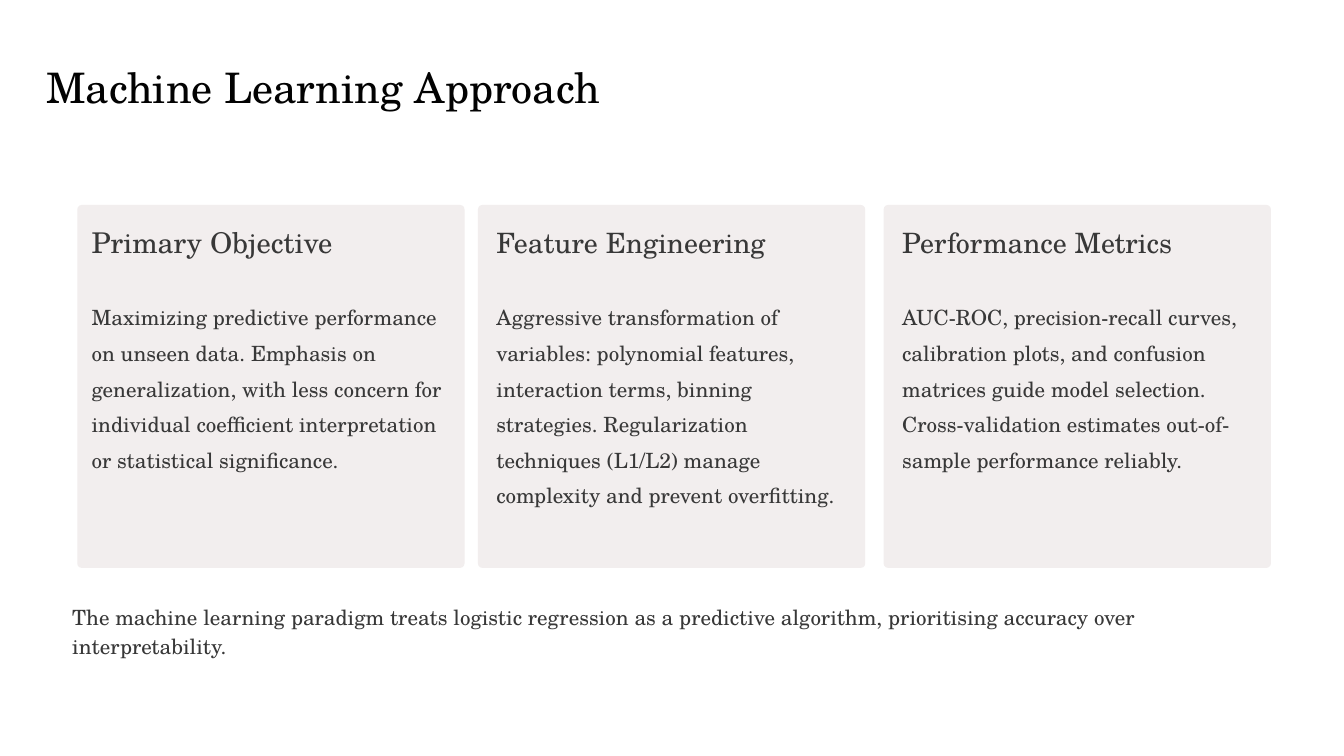
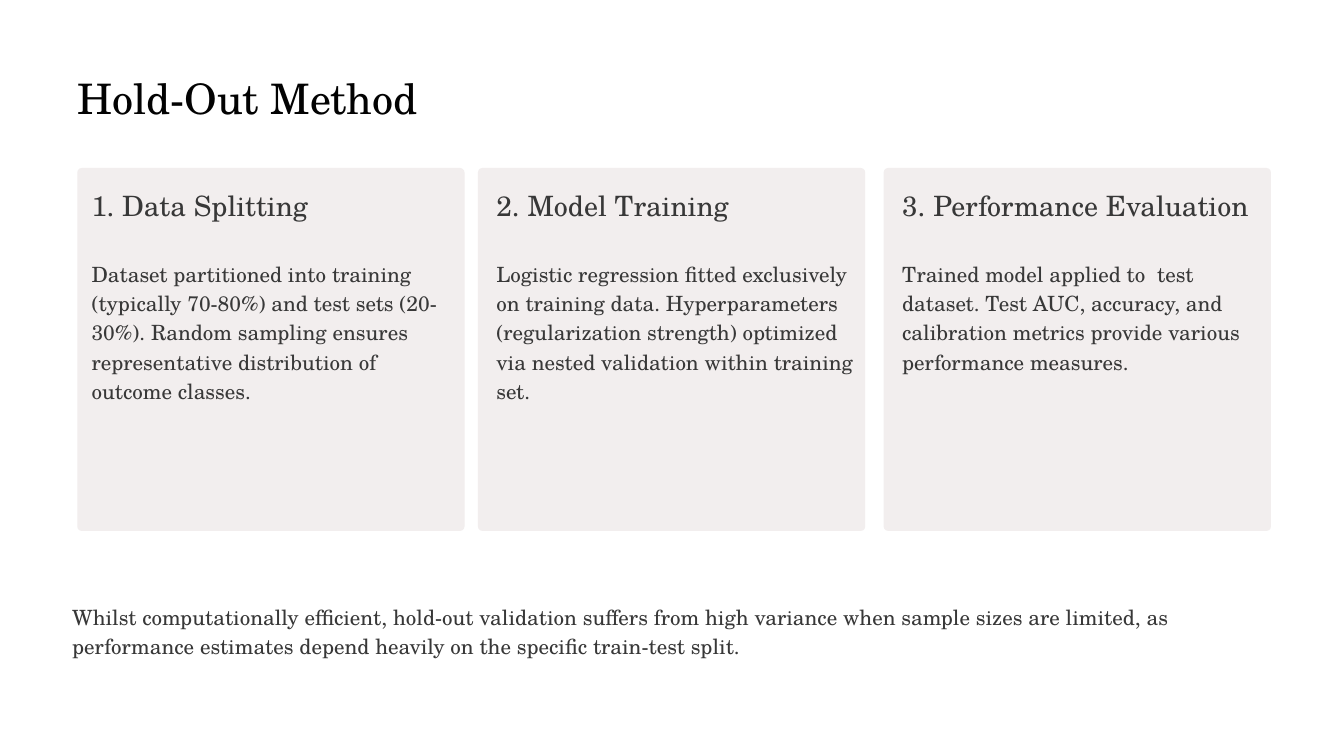
from pptx import Presentation
from pptx.dml.color import RGBColor
from pptx.enum.shapes import MSO_SHAPE
from pptx.enum.text import MSO_ANCHOR, PP_ALIGN
from pptx.util import Inches, Pt

ROUND = MSO_SHAPE.ROUNDED_RECTANGLE
TOP = MSO_ANCHOR.TOP
LEFT = PP_ALIGN.LEFT

FONT = "TeX Gyre Schola"
BLACK = RGBColor(0x02, 0x02, 0x02)
GREY = RGBColor(0x38, 0x38, 0x38)
PALE = RGBColor(0xF2, 0xEE, 0xEE)

CARD_W, CARD_H = 4.61, 4.32
CARD_XS = (0.92, 5.69, 10.52)
TEXT_XS = (1.09, 5.91, 10.74)
TEXT_W, TEXT_H, TEXT_DY = 4.25, 4.1, 0.22
HEAD_LINE = 30.5
NOTE_LINE = 25

ML_CARDS = (
    ("Primary Objective", 24.5,
     "Maximizing predictive performance on unseen data. Emphasis on "
     "generalization, with less concern for individual coefficient "
     "interpretation or statistical significance."),
    ("Feature Engineering", 24,
     "Aggressive transformation of variables: polynomial features, "
     "interaction terms, binning strategies. Regularization techniques "
     "(L1/L2) manage complexity and prevent overfitting."),
    ("Performance Metrics", 24,
     "AUC-ROC, precision-recall curves, calibration plots, and confusion "
     "matrices guide model selection. Cross-validation estimates "
     "out-of-sample performance reliably."),
)
ML_NOTE = (
    "The machine learning paradigm treats logistic regression as a "
    "predictive algorithm, prioritising accuracy over interpretability.")

HOLD_CARDS = (
    ("1. Data Splitting", 24,
     "Dataset partitioned into training (typically 70-80%) and test sets "
     "(20-30%). Random sampling ensures representative distribution of "
     "outcome classes."),
    ("2. Model Training", 24,
     "Logistic regression fitted exclusively on training data. "
     "Hyperparameters (regularization strength) optimized via nested "
     "validation within training set."),
    ("3. Performance Evaluation", 24,
     "Trained model applied to  test dataset. Test AUC, accuracy, and "
     "calibration metrics provide various performance measures."),
)
HOLD_NOTE = (
    "Whilst computationally efficient, hold-out validation suffers from "
    "high variance when sample sizes are limited, as performance estimates "
    "depend heavily on the specific train-test split.")


def write(para, text, size=18, color=GREY, line=None, before=0):
    """Fill a paragraph; line and before are in points."""
    para.text = text
    para.alignment = LEFT
    para.space_before = Pt(before)
    if line:
        para.line_spacing = Pt(line)
    para.font.name = FONT
    para.font.size = Pt(size)
    para.font.color.rgb = color


def set_frame(frame, wrap=True):
    """Drop the margins, anchor at the top and return the frame."""
    frame.margin_left = frame.margin_right = 0
    frame.margin_top = frame.margin_bottom = 0
    frame.vertical_anchor = TOP
    frame.word_wrap = wrap
    return frame


def add_box(slide, x, y, w, h, wrap=True):
    box = slide.shapes.add_textbox(Inches(x), Inches(y), Inches(w), Inches(h))
    return set_frame(box.text_frame, wrap)


def set_title(slide, text, x, y, h, line=None):
    title = slide.shapes.title
    title.left, title.top = Inches(x), Inches(y)
    title.width, title.height = Inches(14.93), Inches(h)
    frame = set_frame(title.text_frame)
    write(frame.paragraphs[0], text, size=36, color=BLACK, line=line)


def add_card(slide, x, y):
    card = slide.shapes.add_shape(
        ROUND, Inches(x), Inches(y), Inches(CARD_W), Inches(CARD_H))
    card.adjustments[0] = 0.012
    card.shadow.inherit = False
    card.fill.solid()
    card.fill.fore_color.rgb = PALE
    card.line.fill.background()


def add_cards(slide, cards, y, line):
    """Add a row of cards; line is the line spacing of their body text."""
    for card_x, text_x, (head, size, body) in zip(CARD_XS, TEXT_XS, cards):
        add_card(slide, card_x, y)
        frame = add_box(slide, text_x, y + TEXT_DY, TEXT_W, TEXT_H)
        write(frame.paragraphs[0], head, size=size, line=HEAD_LINE)
        write(frame.add_paragraph(), body, line=line, before=HEAD_LINE)


def add_note(slide, text, wrap=True):
    frame = add_box(slide, 0.86, 7.15, 14.26, 0.35, wrap)
    write(frame.paragraphs[0], text, line=NOTE_LINE)


def main():
    deck = Presentation()
    deck.slide_width, deck.slide_height = Inches(16), Inches(9)
    layout = deck.slide_layouts[5]

    slide = deck.slides.add_slide(layout)
    set_title(slide, "Machine Learning Approach", 0.55, 0.73, 1.21)
    add_cards(slide, ML_CARDS, 2.44, HEAD_LINE)
    add_note(slide, ML_NOTE, wrap=False)

    slide = deck.slides.add_slide(layout)
    set_title(slide, "Hold-Out Method", 0.92, 0.76, 0.67, line=51)
    add_cards(slide, HOLD_CARDS, 2, NOTE_LINE)
    add_note(slide, HOLD_NOTE)

    deck.save("out.pptx")


if __name__ == "__main__":
    main()
